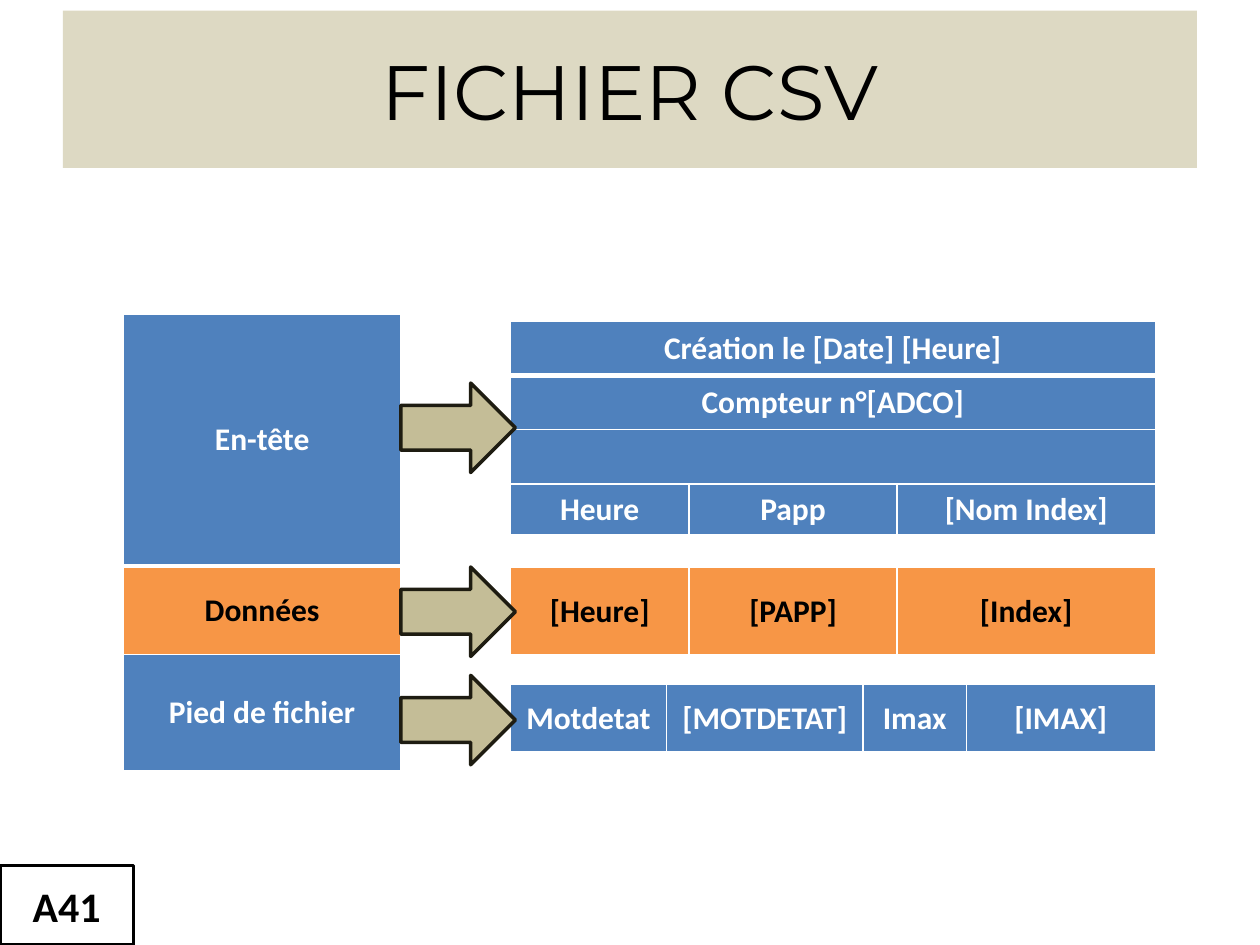
from dataclasses import dataclass

import lxml.etree
import pptx
import pptx.dml.color
import pptx.enum.shapes
import pptx.enum.text
import pptx.oxml.ns
import pptx.util

Pt = pptx.util.Pt
SHAPES = pptx.enum.shapes.MSO_SHAPE


@dataclass(frozen=True)
class Theme:
    white: str = "FFFFFF"
    black: str = "000000"
    banner: str = "DDD9C3"
    blue: str = "4F81BD"
    orange: str = "F79646"
    arrow: str = "C4BD97"
    arrow_line: str = "1E1C11"
    title_font: str = "Montserrat"
    body_font: str = "Calibri"
    title_size: int = 44
    cell_size: int = 18
    tag_size: int = 24


THEME = Theme()
BLUE = (THEME.blue, THEME.white)
ORANGE = (THEME.orange, THEME.black)


def rgb(value):
    return pptx.dml.color.RGBColor.from_string(value)


def style_paragraph(paragraph, font, size, color, bold):
    paragraph.alignment = pptx.enum.text.PP_ALIGN.CENTER
    paragraph.font.name = font
    paragraph.font.size = Pt(size)
    paragraph.font.color.rgb = rgb(color)
    paragraph.font.bold = bold


def add_box(slide, kind, box, fill=None, line=None):
    shape = slide.shapes.add_shape(kind, *map(Pt, box))
    shape.shadow.inherit = False
    if fill:
        shape.fill.solid()
        shape.fill.fore_color.rgb = rgb(fill)
    else:
        shape.fill.background()
    if line:
        shape.line.color.rgb = rgb(line)
        shape.line.width = Pt(2)
    else:
        shape.line.fill.background()
    return shape


def add_label(shape, text, font, size, bold):
    frame = shape.text_frame
    frame.word_wrap = True
    frame.vertical_anchor = pptx.enum.text.MSO_ANCHOR.MIDDLE
    frame.text = text
    style_paragraph(frame.paragraphs[0], font, size, THEME.black, bold)


def set_borders(cell, top, bottom):
    """Draw white borders; the side borders are always 1 pt."""
    properties = cell._tc.get_or_add_tcPr()
    widths = {"lnL": 1, "lnR": 1, "lnT": top, "lnB": bottom}
    for position, (side, width) in enumerate(widths.items()):
        line = lxml.etree.Element(pptx.oxml.ns.qn(f"a:{side}"), w=str(Pt(width)))
        fill = lxml.etree.SubElement(line, pptx.oxml.ns.qn("a:solidFill"))
        lxml.etree.SubElement(fill, pptx.oxml.ns.qn("a:srgbClr"), val=THEME.white)
        properties.insert(position, line)


def add_grid(slide, left, top, widths, heights, rows, colors):
    """Build a table; a row with a single text spans all the columns."""
    table = slide.shapes.add_table(
        len(heights), len(widths), Pt(left), Pt(top), Pt(sum(widths)), Pt(sum(heights))
    ).table
    for column, width in zip(table.columns, widths):
        column.width = Pt(width)
    for index, (height, texts, (fill, color)) in enumerate(zip(heights, rows, colors)):
        table.rows[index].height = Pt(height)
        for column in range(len(widths)):
            cell = table.cell(index, column)
            cell.fill.solid()
            cell.fill.fore_color.rgb = rgb(fill)
            cell.vertical_anchor = pptx.enum.text.MSO_ANCHOR.MIDDLE
            set_borders(cell, 3 if index == 1 else 1, 3 if index == 0 else 1)
            if column < len(texts):
                cell.text = texts[column]
            style_paragraph(cell.text_frame.paragraphs[0], THEME.body_font,
                            THEME.cell_size, color, True)
        if len(texts) < len(widths):
            table.cell(index, 0).merge(table.cell(index, len(widths) - 1))


def add_title(slide, box):
    banner = add_box(slide, SHAPES.RECTANGLE, box, THEME.banner)
    add_label(banner, "FICHIER CSV", THEME.title_font, THEME.title_size, False)


def add_sections(slide, left, top, width):
    add_grid(slide, left, top, [width], [144, 50.4, 66.6],
             [["En-tête"], ["Données"], ["Pied de fichier"]], [BLUE, ORANGE, BLUE])


def add_details(slide, left, data_top, header_top, footer_top):
    columns = [102.2, 118.8, 147.6]
    add_grid(slide, left, data_top, columns, [51.1],
             [["[Heure]", "[PAPP]", "[Index]"]], [ORANGE])
    add_grid(slide, left, header_top, columns, [31, 31, 31, 29.2],
             [["Création le [Date] [Heure]"], ["Compteur n°[ADCO]"], [""],
              ["Heure", "Papp", "[Nom Index]"]], [BLUE] * 4)
    add_grid(slide, left, footer_top, [89.3, 112.3, 59, 108], [39.6],
             [["Motdetat", "[MOTDETAT]", "Imax", "[IMAX]"]], [BLUE])


def add_arrows(slide, left, tops, width, height):
    for top in tops:
        add_box(slide, SHAPES.RIGHT_ARROW, (left, top, width, height),
                THEME.arrow, THEME.arrow_line)


def add_page_tag(slide, box):
    tag = add_box(slide, SHAPES.RECTANGLE, box, line=THEME.black)
    add_label(tag, "A41", THEME.body_font, THEME.tag_size, True)


def main():
    presentation = pptx.Presentation()
    presentation.slide_width, presentation.slide_height = Pt(720), Pt(540)
    slide = presentation.slides.add_slide(presentation.slide_layouts[6])

    # Title banner
    add_title(slide, (36, 6, 648, 90))
    # File sections on the left, their contents on the right
    add_sections(slide, 70.6, 179.5, 158.4)
    add_details(slide, 291.6, data_top=324, header_top=183.6, footer_top=391)
    # Arrows from each section to its contents
    add_arrows(slide, 229, [218.9, 385.9, 324], 65.5, 51.1)
    # Page tag in the corner
    add_page_tag(slide, (0, 494.6, 76.3, 45.4))

    presentation.save("out.pptx")


if __name__ == "__main__":
    main()
